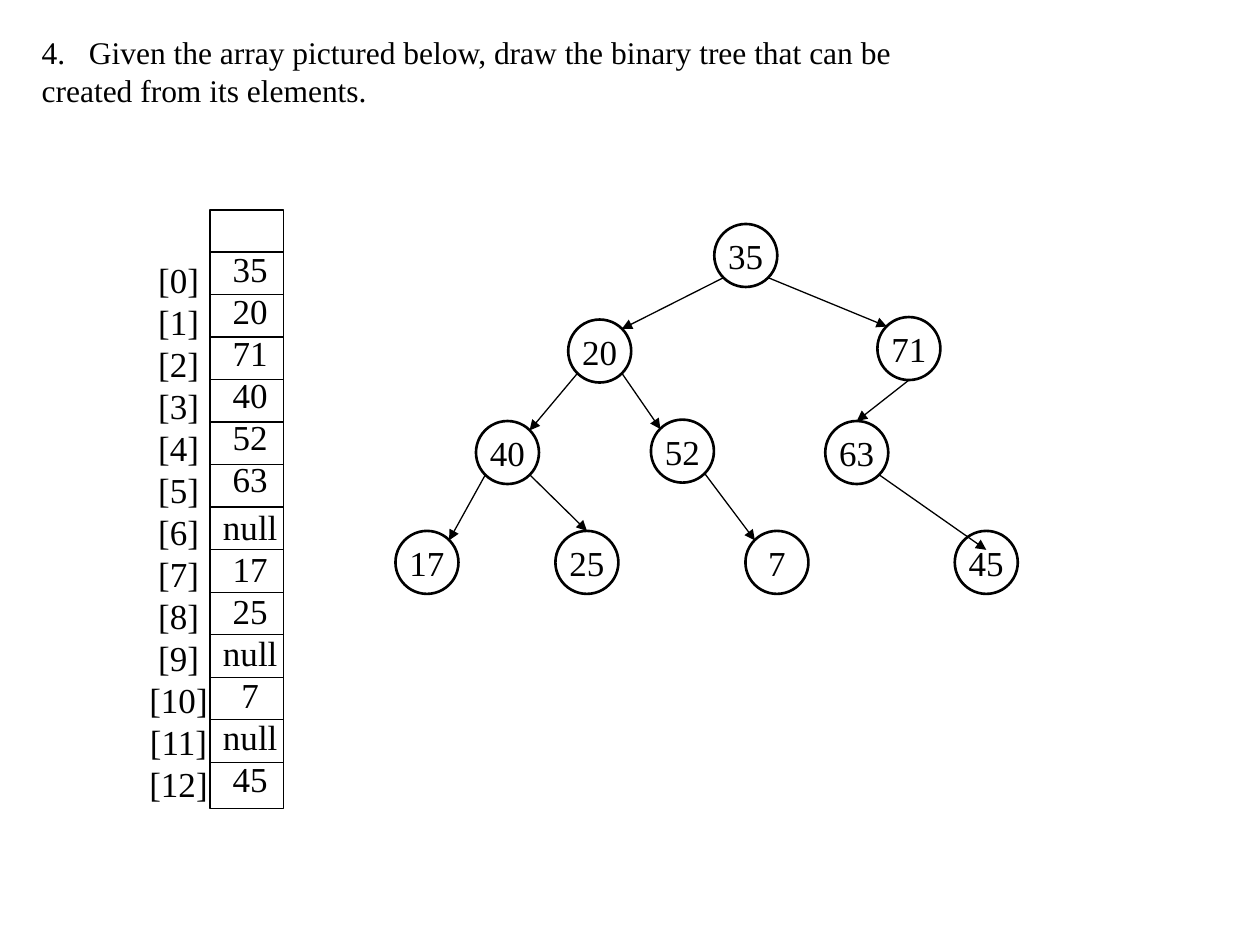
from lxml import etree
from pptx import Presentation
from pptx.dml.color import RGBColor
from pptx.enum.shapes import MSO_CONNECTOR, MSO_SHAPE
from pptx.enum.text import MSO_ANCHOR, MSO_AUTO_SIZE, PP_ALIGN
from pptx.oxml.ns import qn
from pptx.util import Pt

STRAIGHT, RECT, OVAL = MSO_CONNECTOR.STRAIGHT, MSO_SHAPE.RECTANGLE, MSO_SHAPE.OVAL
TOP, MIDDLE = MSO_ANCHOR.TOP, MSO_ANCHOR.MIDDLE
LEFT, CENTER = PP_ALIGN.LEFT, PP_ALIGN.CENTER
NO_FIT = MSO_AUTO_SIZE.NONE
BLACK = RGBColor(0, 0, 0)
FONT = "Times New Roman"

# Content
QUESTION = ["Given the array pictured below, draw the binary tree that can be",
            "created from its elements."]
QUESTION_NUMBER = 4
VALUES = ["35", "20", "71", "40", "52", "63", "null",
          "17", "25", "null", "7", "null", "45"]
INDEXES = [f"[{i}]" for i in range(len(VALUES))]

# Tree nodes: value -> left, top
NODE = 36
NODES = {
    "35": (408.2, 128), "20": (324.7, 182.6), "71": (501.4, 181.2),
    "40": (272, 240.6), "52": (372, 239.8), "63": (471.6, 240.6),
    "17": (226, 303.4), "25": (317.4, 303.4), "7": (426, 303.4), "45": (545.6, 303.4),
}
# Points on a node, as shares of its size
POINTS = {"top": (0.5, 0), "bottom": (0.5, 1), "inside": (0.5, 0.3),
          "top left": (0.15, 0.15), "top right": (0.85, 0.15),
          "bottom left": (0.15, 0.85), "bottom right": (0.85, 0.85)}
EDGES = [
    ("35", "bottom left", "20", "top right"), ("35", "bottom right", "71", "top left"),
    ("20", "bottom left", "40", "top right"), ("20", "bottom right", "52", "top left"),
    ("40", "bottom left", "17", "top right"), ("40", "bottom right", "25", "top"),
    ("52", "bottom right", "7", "top left"), ("71", "bottom", "63", "top"),
    ("63", "bottom right", "45", "inside"),
]

# Array column
ARRAY_X, ARRAY_Y, ARRAY_W, ARRAY_H = 120, 120, 42, 342
FIRST_RULE, ROW = 144, 24.3

prs = Presentation()
prs.slide_width, prs.slide_height = Pt(720), Pt(540)
s = prs.slides.add_slide(prs.slide_layouts[5])


def write(sp, lines, size=20, align=CENTER, anchor=TOP):
    tf = sp.text_frame
    for name, value in {"word_wrap": False, "auto_size": NO_FIT,
                        "vertical_anchor": anchor}.items():
        setattr(tf, name, value)
    for i, line in enumerate(lines):
        p = tf.add_paragraph() if i else tf.paragraphs[0]
        p.alignment, p.line_spacing = align, Pt(size * 1.2)
        p.space_before = Pt(0)
        r = p.add_run()
        r.text = line
        r.font.name, r.font.size, r.font.color.rgb = FONT, Pt(size), BLACK
    return tf


def add_outline(kind, x, y, w, h, weight):
    sp = s.shapes.add_shape(kind, Pt(x), Pt(y), Pt(w), Pt(h))
    sp.shadow.inherit = False
    sp.fill.background()
    sp.line.color.rgb, sp.line.width = BLACK, Pt(weight)
    return sp


def add_line(x1, y1, x2, y2, arrow=False):
    cn = s.shapes.add_connector(STRAIGHT, Pt(x1), Pt(y1), Pt(x2), Pt(y2))
    cn.line.color.rgb, cn.line.width = BLACK, Pt(0.75)
    if arrow:
        etree.SubElement(cn.line._get_or_add_ln(), qn("a:tailEnd"), type="triangle")
    etree.SubElement(cn._element.spPr, qn("a:effectLst"))


def node_point(value, point):
    (x, y), (dx, dy) = NODES[value], POINTS[point]
    return x + dx * NODE, y + dy * NODE


# Question
title = s.shapes.title
title.left, title.top, title.width, title.height = Pt(16.6), Pt(15.1), Pt(505.4), Pt(51)
tf = write(title, QUESTION, size=18, align=LEFT)
pPr = tf.paragraphs[0]._p.get_or_add_pPr()
pPr.set("marL", str(Pt(27)))
pPr.set("indent", str(Pt(-27)))
etree.SubElement(pPr, qn("a:buFont"), typeface=FONT)
etree.SubElement(pPr, qn("a:buAutoNum"), type="arabicPeriod", startAt=str(QUESTION_NUMBER))

# Array with its indexes and values
add_outline(RECT, ARRAY_X, ARRAY_Y, ARRAY_W, ARRAY_H, 0.75)
for i in range(len(VALUES)):
    y = FIRST_RULE + i * ROW
    add_line(ARRAY_X, y, ARRAY_X + ARRAY_W, y)
for lines, x, y, w in [(INDEXES, 78, 144, 48), (VALUES, 120, 138, 46)]:
    tf = write(s.shapes.add_textbox(Pt(x), Pt(y), Pt(w), Pt(322)), lines)
tf.paragraphs[VALUES.index("null")].space_before = Pt(3)

# Tree
for value, (x, y) in NODES.items():
    write(add_outline(OVAL, x, y, NODE, NODE, 1.5), [value], anchor=MIDDLE)
for parent, start, child, end in EDGES:
    add_line(*node_point(parent, start), *node_point(child, end), arrow=True)

prs.save("out.pptx")
